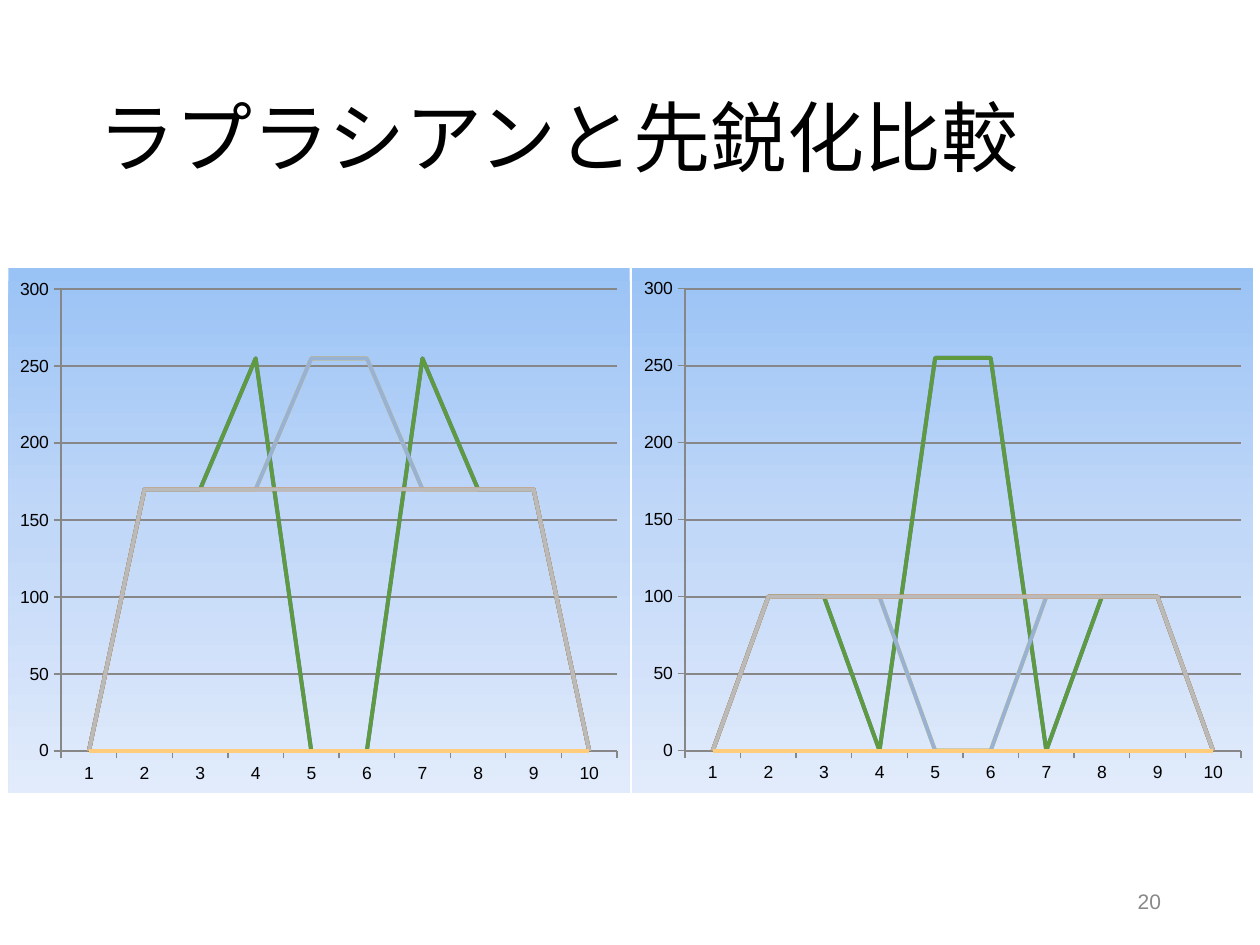
from dataclasses import dataclass

import lxml.etree
import pptx
import pptx.chart.data
import pptx.dml.color
import pptx.enum.chart
import pptx.enum.text
import pptx.oxml
import pptx.oxml.ns
import pptx.util

Pt = pptx.util.Pt
RGBColor = pptx.dml.color.RGBColor
Align = pptx.enum.text.PP_ALIGN
qn = pptx.oxml.ns.qn

FONT = "Arial"
BLACK = RGBColor(0x00, 0x00, 0x00)
PAGE_GRAY = RGBColor(0x88, 0x88, 0x88)
GRID_GRAY = RGBColor(0x87, 0x87, 0x87)
BLUE = RGBColor(0x5B, 0x9B, 0xD5)
ORANGE = RGBColor(0xED, 0x7D, 0x31)
GRAY = RGBColor(0xA5, 0xA5, 0xA5)
GOLD = RGBColor(0xFF, 0xC0, 0x00)
INDIGO = RGBColor(0x44, 0x72, 0xC4)
GREEN = RGBColor(0x5F, 0x9A, 0x41)
PALE_BLUE = RGBColor(0x97, 0xB2, 0xD5)
PALE_GRAY = RGBColor(0xBA, 0xBA, 0xBA)
PALE_GOLD = RGBColor(0xFF, 0xCC, 0x7C)
SKY_TOP = RGBColor(0x9A, 0xC3, 0xF5)
SKY_MIDDLE = RGBColor(0xC2, 0xD8, 0xF8)
SKY_BOTTOM = RGBColor(0xE1, 0xEB, 0xFB)

ROW_COLORS = [BLUE, ORANGE, GRAY, GOLD, INDIGO, GREEN, PALE_BLUE, ORANGE, PALE_GRAY, PALE_GOLD]
CHART_WIDTH, CHART_HEIGHT = 355, 300


@dataclass
class Label:
    text: str
    left: float
    top: float
    width: float
    height: float
    size: float
    color: RGBColor
    align: Align
    spacing: float = 1.0


@dataclass
class Profile:
    left: float
    top: float
    plateau: int
    center: int
    edge: int
    overshoot: int
    grid_width: float

    def rows(self) -> list[list[int]]:
        side = [0, self.plateau, self.plateau]
        halves = [
            [0] * 5,
            side + [self.plateau] * 2,
            side + [self.plateau] * 2,
            side + [self.plateau, self.center],
            side + [self.edge, self.overshoot],
        ]
        upper = [half + half[::-1] for half in halves]
        return upper + upper[::-1]


LABELS = [
    Label("ラプラシアンと先鋭化比較", 49.5, 28.8, 621, 104.4, 44, BLACK, Align.LEFT, 0.9),
    Label("20", 508.5, 500.4, 162, 28.8, 12, PAGE_GRAY, Align.RIGHT),
]
PROFILES = [
    Profile(361.25, 153, 100, 0, 0, 255, 1.25),
    Profile(4.75, 153.25, 170, 255, 255, 0, 0.75),
]


def add_label(slide, label: Label) -> None:
    box = slide.shapes.add_textbox(Pt(label.left), Pt(label.top), Pt(label.width), Pt(label.height))
    frame = box.text_frame
    frame.word_wrap = True
    frame.vertical_anchor = pptx.enum.text.MSO_ANCHOR.MIDDLE
    paragraph = frame.paragraphs[0]
    paragraph.alignment = label.align
    paragraph.line_spacing = label.spacing
    run = paragraph.add_run()
    run.text = label.text
    run.font.name = FONT
    run.font.size = Pt(label.size)
    run.font.color.rgb = label.color


def fill_with_sky(chart) -> None:
    properties = lxml.etree.Element(qn("c:spPr"))
    gradient = lxml.etree.SubElement(properties, qn("a:gradFill"))
    stops = lxml.etree.SubElement(gradient, qn("a:gsLst"))
    for percent, color in [(0, SKY_TOP), (50, SKY_MIDDLE), (100, SKY_BOTTOM)]:
        stop = lxml.etree.SubElement(stops, qn("a:gs"), pos=str(percent * 1000))
        lxml.etree.SubElement(stop, qn("a:srgbClr"), val=str(color))
    lxml.etree.SubElement(gradient, qn("a:lin"), ang="5400000", scaled="0")
    outline = lxml.etree.SubElement(properties, qn("a:ln"))
    lxml.etree.SubElement(outline, qn("a:noFill"))
    chart.element.find(qn("c:chart")).addnext(properties)


def place_plot(chart) -> None:
    plot_area = chart.element.find(".//" + qn("c:plotArea"))
    for old in plot_area.findall(qn("c:layout")):
        plot_area.remove(old)
    layout = lxml.etree.Element(qn("c:layout"))
    manual = lxml.etree.SubElement(layout, qn("c:manualLayout"))
    settings = [
        ("layoutTarget", "inner"), ("xMode", "edge"), ("yMode", "edge"),
        ("x", "0.085"), ("y", "0.04"), ("w", "0.895"), ("h", "0.88"),
    ]
    for name, value in settings:
        lxml.etree.SubElement(manual, qn("c:" + name), val=value)
    plot_area.insert(0, layout)


def style_line(line, color: RGBColor, width: float) -> None:
    line.color.rgb = color
    line.width = Pt(width)


def add_profile(slide, profile: Profile) -> None:
    data = pptx.chart.data.CategoryChartData()
    data.categories = [str(column) for column in range(1, 11)]
    for number, row in enumerate(profile.rows(), 1):
        data.add_series(f"Series {number}", row)
    chart = slide.shapes.add_chart(
        pptx.enum.chart.XL_CHART_TYPE.LINE,
        Pt(profile.left), Pt(profile.top), Pt(CHART_WIDTH), Pt(CHART_HEIGHT), data,
    ).chart
    chart.has_legend = False
    chart.has_title = False
    chart.font.name = FONT
    chart.font.size = Pt(10)
    chart.font.color.rgb = BLACK
    chart.plots[0].vary_by_categories = False
    fill_with_sky(chart)
    place_plot(chart)

    levels = chart.value_axis
    levels.minimum_scale, levels.maximum_scale, levels.major_unit = 0, 300, 50
    levels.has_major_gridlines = True
    style_line(levels.major_gridlines.format.line, GRID_GRAY, profile.grid_width)
    for axis in (chart.category_axis, levels):
        axis.major_tick_mark = pptx.enum.chart.XL_TICK_MARK.OUTSIDE
        style_line(axis.format.line, GRID_GRAY, 0.75)

    for series, color in zip(chart.plots[0].series, ROW_COLORS):
        series.smooth = False
        series.marker.style = pptx.enum.chart.XL_MARKER_STYLE.NONE
        style_line(series.format.line, color, 2.25)


def main() -> None:
    deck = pptx.Presentation()
    deck.slide_width, deck.slide_height = Pt(720), Pt(540)
    slide = deck.slides.add_slide(deck.slide_layouts[6])
    for label in LABELS:
        add_label(slide, label)
    for profile in PROFILES:
        add_profile(slide, profile)
    deck.save("out.pptx")


if __name__ == "__main__":
    main()
